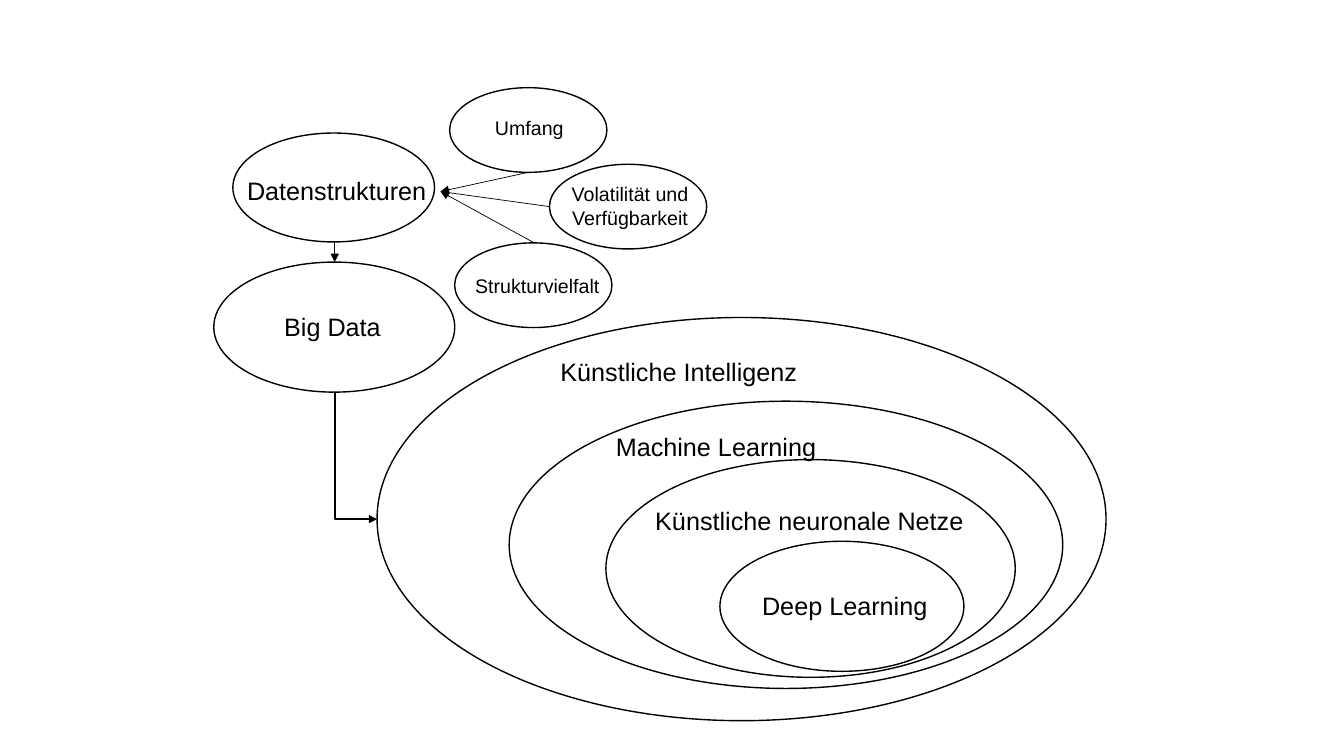
import lxml.etree
import pptx
import pptx.util
import pptx.dml.color
import pptx.enum.shapes
import pptx.enum.text
import pptx.oxml.ns

Inches = pptx.util.Inches
Pt = pptx.util.Pt
qn = pptx.oxml.ns.qn
SHAPE = pptx.enum.shapes.MSO_SHAPE
CONNECTOR = pptx.enum.shapes.MSO_CONNECTOR
ALIGN = pptx.enum.text.PP_ALIGN
BLACK = pptx.dml.color.RGBColor(0, 0, 0)

prs = pptx.Presentation()
prs.slide_width = Inches(13.33)
prs.slide_height = Inches(7.5)
s = prs.slides.add_slide(prs.slide_layouts[6])


def add_arrow(kind, start, end, weight):
    cx = s.shapes.add_connector(kind, *(Inches(v) for v in start + end))
    cx.line.color.rgb = BLACK
    cx.line.width = Pt(weight)
    spPr = cx._element.spPr
    lxml.etree.SubElement(spPr.find(qn("a:ln")), qn("a:tailEnd"), type="triangle")
    lxml.etree.SubElement(spPr, qn("a:effectLst"))
    return cx


ellipses = [
    (3.74, 3.15, 7.23, 4),
    (5.05, 3.98, 5.49, 2.85),
    (6.01, 4.56, 4.06, 2.16),
    (7.14, 5.37, 2.42, 1.29),
    (2.12, 2.6, 2.39, 1.29),
    (2.31, 1.32, 2, 1.08),
    (4.46, 0.87, 1.56, 0.84),
    (5.45, 1.63, 1.56, 0.84),
    (4.51, 2.41, 1.56, 0.84),
]
for box in ellipses:
    sp = s.shapes.add_shape(SHAPE.OVAL, *(Inches(v) for v in box))
    sp.shadow.inherit = False
    sp.fill.background()
    sp.line.color.rgb = BLACK
    sp.line.width = Pt(1)

labels = [
    ("Künstliche Intelligenz", 5.46, 3.49, 2.6, 0.4, 18, ALIGN.LEFT),
    ("Machine Learning", 6.01, 4.23, 2.27, 0.4, 18, ALIGN.LEFT),
    ("Künstliche neuronale Netze", 6.4, 4.96, 3.31, 0.4, 18, ALIGN.LEFT),
    ("Deep Learning", 7.46, 5.81, 1.91, 0.4, 18, ALIGN.LEFT),
    ("Big Data", 2.72, 3.04, 1.2, 0.4, 18, ALIGN.LEFT),
    ("Datenstrukturen", 2.31, 1.69, 2.06, 0.4, 18, ALIGN.CENTER),
    ("Umfang", 4.22, 1.1, 2.06, 0.34, 14, ALIGN.CENTER),
    ("Volatilität und Verfügbarkeit", 5.22, 1.76, 2.06, 0.57, 14, ALIGN.CENTER),
    ("Strukturvielfalt", 4.3, 2.67, 2.06, 0.34, 14, ALIGN.CENTER),
]
for text, left, top, width, height, size, align in labels:
    sp = s.shapes.add_textbox(Inches(left), Inches(top), Inches(width), Inches(height))
    tf = sp.text_frame
    tf.word_wrap = True
    tf.auto_size = pptx.enum.text.MSO_AUTO_SIZE.SHAPE_TO_FIT_TEXT
    p = tf.paragraphs[0]
    p.alignment = align
    r = p.add_run()
    r.text = text
    r.font.name = "Arial"
    r.font.size = Pt(size)
    r.font.color.rgb = BLACK

for start in [(5.24, 1.71), (5.45, 2.05), (5.3, 2.41)]:
    add_arrow(CONNECTOR.STRAIGHT, start, (4.37, 1.9), 0.5)
add_arrow(CONNECTOR.STRAIGHT, (3.32, 2.4), (3.32, 2.6), 0.5)

elbow = add_arrow(CONNECTOR.ELBOW, (4.16, 4.31), (2.9, 4.73), 1.5)
elbow._element.spPr.find(qn("a:prstGeom")).set("prst", "bentConnector2")
elbow._element.spPr.find(qn("a:xfrm")).set("rot", str(270 * 60000))

prs.save("out.pptx")
